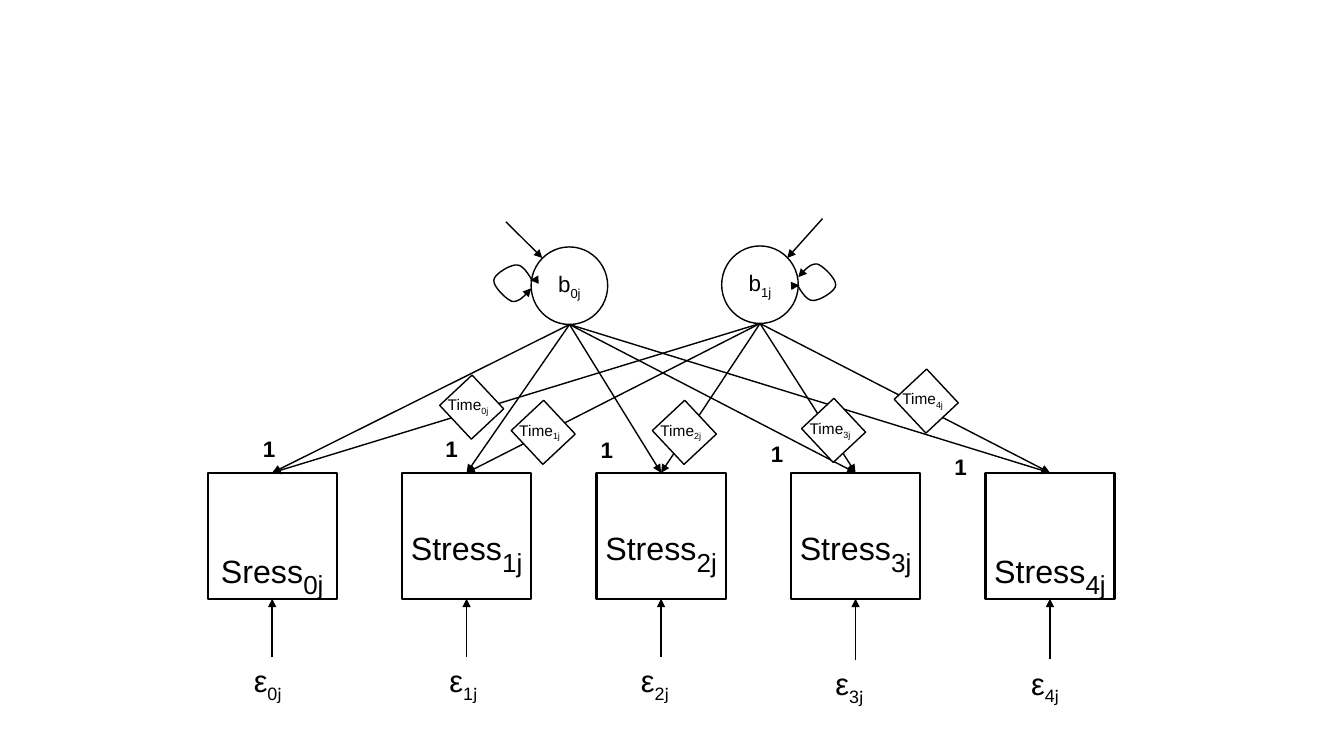
from dataclasses import dataclass

from lxml.etree import SubElement
from pptx import Presentation
from pptx.dml.color import RGBColor
from pptx.enum.shapes import MSO_CONNECTOR as Connector, MSO_SHAPE as Preset
from pptx.enum.text import MSO_ANCHOR as Anchor, PP_ALIGN as Align
from pptx.oxml.ns import qn
from pptx.util import Pt

BLACK = "000000"
WHITE = "FFFFFF"
SANS = "Arial"

Point = tuple[float, float]


@dataclass
class Span:
    text: str
    subscript: bool = False
    font: str = ""
    size: float = 0


@dataclass
class Occasion:
    name: str
    name_inset: float
    one_at: Point
    diamond_at: Point
    error_at: Point


@dataclass
class Effect:
    circle_at: Point
    apex: Point
    mean_from: Point
    mean_to: Point


OCCASIONS = [
    Occasion("Sress", 47, (180.7, 307.4), (320.4, 275), (174.2, 469.4)),
    Occasion("Stress", 31, (311, 307.4), (371.5, 293), (313.9, 469.4)),
    Occasion("Stress", 31, (421.9, 308.2), (472.3, 293), (450.7, 469.4)),
    Occasion("Stress", 31, (543.6, 311), (578.9, 291.6), (589.7, 471.6)),
    Occasion("Stress", 47, (674.6, 320.4), (645.1, 270.7), (729.4, 470.9)),
]
EFFECTS = [
    Effect((379.4, 176.4), (406.8, 231.8), (361.4, 158.4), (387.4, 184.3)),
    Effect((515.5, 175.7), (542.9, 231.1), (587.5, 156.2), (562.3, 184.3)),
]
LOOP = [
    (570.2, 198), (574.6, 193), (578.9, 187.9), (583.9, 188.6),
    (588.2, 190.1), (597.6, 199.4), (596.9, 203.8),
    (596.9, 208.1), (584.6, 215.3), (580.3, 214.6),
    (575.3, 214.6), (570.2, 204.5), (568.8, 202.3),
    (567.4, 200.9), (569.5, 202.3), (571, 203.8),
]
BOX_LEFT, BOX_TOP, BOX_WIDTH, BOX_HEIGHT, BOX_STEP = 148.3, 337.7, 92.2, 90, 138.9
CURVE_STEPS = 10


def color(code: str) -> RGBColor:
    return RGBColor.from_string(code)


def outline(line, width: float, *ends: str) -> None:
    line.color.rgb = color(BLACK)
    line.width = Pt(width)
    for end in ends:
        SubElement(line._get_or_add_ln(), qn(f"a:{end}"), type="triangle")


def write(box, spans: list[Span], size: float, align=Align.LEFT,
          bold: bool = False) -> None:
    para = box.text_frame.paragraphs[0]
    para.alignment = align
    para.font.size = Pt(size)
    para.font.name = SANS
    para.font.bold = bold
    para.font.color.rgb = color(BLACK)
    for span in spans:
        run = para.add_run()
        run.text = span.text
        run.font.color.rgb = color(BLACK)
        if span.font:
            run.font.name = span.font
        if span.size:
            run.font.size = Pt(span.size)
        if span.subscript:
            run._r.get_or_add_rPr().set("baseline", "-25000")


def add_label(page, at: Point, width: float, height: float,
              spans: list[Span], size: float, bold: bool = False) -> None:
    box = page.shapes.add_textbox(Pt(at[0]), Pt(at[1]), Pt(width), Pt(height))
    box.text_frame.word_wrap = True
    write(box, spans, size, bold=bold)


def add_node(page, preset: Preset, at: Point, width: float, height: float,
             line_width: float = 1, filled: bool = True):
    node = page.shapes.add_shape(preset, Pt(at[0]), Pt(at[1]), Pt(width), Pt(height))
    node.shadow.inherit = False
    if filled:
        node.fill.solid()
        node.fill.fore_color.rgb = color(WHITE)
    else:
        node.fill.background()
    outline(node.line, line_width)
    node.text_frame.word_wrap = False
    return node


def add_arrow(page, start: Point, end: Point) -> None:
    arrow = page.shapes.add_connector(
        Connector.STRAIGHT, Pt(start[0]), Pt(start[1]), Pt(end[0]), Pt(end[1]))
    outline(arrow.line, 1, "tailEnd")
    SubElement(arrow._element.spPr, qn("a:effectLst"))


def curve_points(knots: list[Point]) -> list[Point]:
    points = [knots[0]]
    for first in range(0, len(knots) - 1, 3):
        a, b, c, d = knots[first:first + 4]
        for step in range(1, CURVE_STEPS + 1):
            t = step / CURVE_STEPS
            u = 1 - t
            points.append(tuple(
                u**3 * a[k] + 3 * u * u * t * b[k] + 3 * u * t * t * c[k] + t**3 * d[k]
                for k in (0, 1)))
    return points


def add_loop(page, knots: list[Point]) -> None:
    start, *others = [(Pt(x), Pt(y)) for x, y in curve_points(knots)]
    builder = page.shapes.build_freeform(*start)
    builder.add_line_segments(others, close=False)
    loop = builder.convert_to_shape()
    loop.shadow.inherit = False
    loop.fill.background()
    outline(loop.line, 1, "headEnd", "tailEnd")


def add_effect(page, index: int, effect: Effect) -> None:
    circle = add_node(page, Preset.OVAL, effect.circle_at, 54.7, 55.4)
    circle.text_frame.vertical_anchor = Anchor.MIDDLE
    write(circle, [Span("b"), Span(f"{index}j", True)], 16, Align.CENTER)
    add_arrow(page, effect.mean_from, effect.mean_to)


def add_occasion(page, index: int, occasion: Occasion) -> None:
    left = BOX_LEFT + index * BOX_STEP
    center = left + BOX_WIDTH / 2
    box = add_node(page, Preset.RECTANGLE, (left, BOX_TOP), BOX_WIDTH, BOX_HEIGHT,
                   1.5, filled=False)
    box.text_frame.vertical_anchor = Anchor.TOP
    box.text_frame.margin_top = Pt(occasion.name_inset)
    box.text_frame.margin_bottom = 0
    write(box, [Span(occasion.name, size=23), Span(f"{index}j", True, size=32)],
          23, Align.CENTER)
    add_arrow(page, (center, occasion.error_at[1]), (center, BOX_TOP + BOX_HEIGHT))
    add_label(page, occasion.error_at, 43, 34,
              [Span("ε", font=SANS), Span(f"{index}", True, SANS),
               Span("j", True, "Calibri")], 22)
    add_label(page, occasion.one_at, 25, 26.6, [Span("1")], 16, bold=True)
    for effect in EFFECTS:
        add_arrow(page, effect.apex, (center, BOX_TOP))


def add_time(page, index: int, at: Point) -> None:
    diamond = add_node(page, Preset.RECTANGLE, at, 33.1, 31.7)
    diamond.rotation = 46.9
    add_label(page, (at[0] - 7.7, at[1] + 4), 46, 42,
              [Span("Time"), Span(f"{index}j", True)], 11)


def main() -> None:
    deck = Presentation()
    deck.slide_width, deck.slide_height = Pt(960), Pt(540)
    page = deck.slides.add_slide(deck.slide_layouts[6])
    for index, effect in enumerate(EFFECTS):
        add_effect(page, index, effect)
    add_loop(page, LOOP)
    add_loop(page, [(949.7 - x, 403.9 - y) for x, y in LOOP])
    for index, occasion in enumerate(OCCASIONS):
        add_occasion(page, index, occasion)
    for index, occasion in enumerate(OCCASIONS):
        add_time(page, index, occasion.diamond_at)
    deck.save("out.pptx")


if __name__ == "__main__":
    main()
